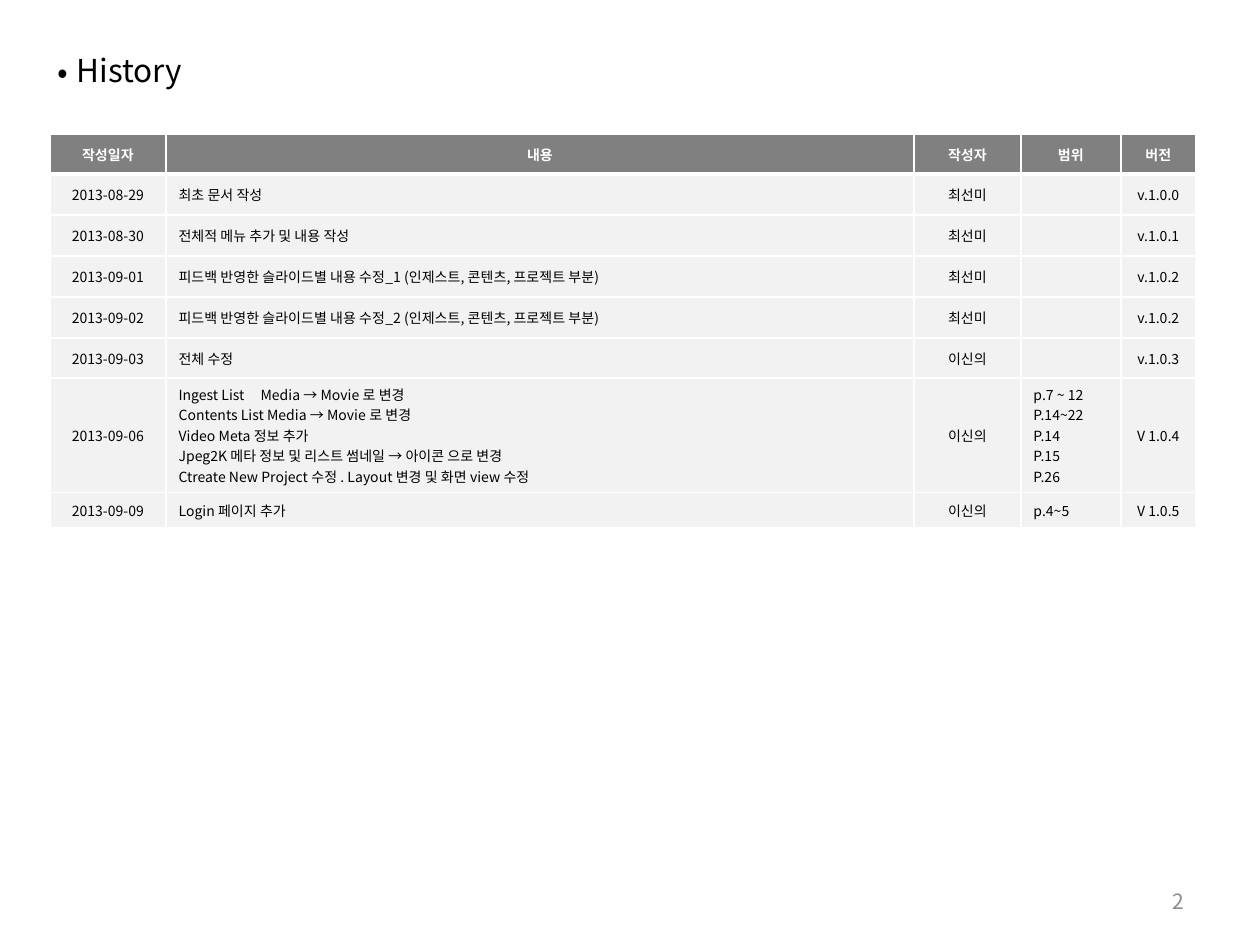
from lxml import etree
from pptx import Presentation
from pptx import util as u
from pptx.dml.color import RGBColor
from pptx.enum import text
from pptx.oxml.ns import qn

SCALE = 914400 // 126  # EMU in one px
FONT = "Noto Sans CJK KR"
WHITE, BLACK, GREY, PALE, MUTED = "FFFFFF", "000000", "808080", "F2F2F2", "8C8C8C"
LEFT, CENTER, RIGHT = text.PP_ALIGN.LEFT, text.PP_ALIGN.CENTER, text.PP_ALIGN.RIGHT

COLUMN_WIDTHS = [116, 748, 107, 100, 75]
ROW_HEIGHTS = [40, 41, 41, 41, 41, 40, 113, 35]
TAB_STOP = 82
HEADER = ["작성일자", "내용", "작성자", "범위", "버전"]
HISTORY = [
    ["2013-08-29", "최초 문서 작성", "최선미", "", "v.1.0.0"],
    ["2013-08-30", "전체적 메뉴 추가 및 내용 작성", "최선미", "", "v.1.0.1"],
    ["2013-09-01", "피드백 반영한 슬라이드별 내용 수정_1 (인제스트, 콘텐츠, 프로젝트 부분)",
     "최선미", "", "v.1.0.2"],
    ["2013-09-02", "피드백 반영한 슬라이드별 내용 수정_2 (인제스트, 콘텐츠, 프로젝트 부분)",
     "최선미", "", "v.1.0.2"],
    ["2013-09-03", "전체 수정", "이신의", "", "v.1.0.3"],
    ["2013-09-06",
     "Ingest List\tMedia → Movie 로 변경\n"
     "Contents List Media → Movie 로 변경\n"
     "Video Meta 정보 추가\n"
     "Jpeg2K 메타 정보 및 리스트 썸네일 → 아이콘 으로 변경\n"
     "Ctreate New Project 수정 . Layout 변경 및 화면 view 수정",
     "이신의", "p.7 ~ 12\nP.14~22\nP.14\nP.15\nP.26", "V 1.0.4"],
    ["2013-09-09", "Login 페이지 추가", "이신의", "p.4~5", "V 1.0.5"],
]


def px(length):
    return u.Emu(length * SCALE)


def color(value):
    return RGBColor.from_string(value)


def add_xml(parent, tag, **attributes):
    return etree.SubElement(parent, qn(tag), attributes)


def format_text(frame, size, fill, align=LEFT, bold=False):
    for paragraph in frame.paragraphs:
        paragraph.alignment = align
        for run in paragraph.runs:
            run.font.size = u.Pt(size)
            run.font.bold = bold
            run.font.name = FONT
            run.font.color.rgb = color(fill)
            add_xml(run.font._element, "a:ea", typeface=FONT)
        if not paragraph.runs:  # keeps an empty cell from growing
            add_xml(paragraph._p, "a:endParaRPr", sz=str(size * 100))
        if "\t" in paragraph.text:
            tabs = add_xml(paragraph._p.get_or_add_pPr(), "a:tabLst")
            add_xml(tabs, "a:tab", pos=str(px(TAB_STOP)), algn="l")


def place_title(slide, left, top, width, height):
    title = slide.shapes.title
    title.left, title.top, title.width, title.height = map(px, (left, top, width, height))
    frame = title.text_frame
    frame.text = "History"
    frame.vertical_anchor = text.MSO_ANCHOR.MIDDLE
    frame.auto_size = text.MSO_AUTO_SIZE.NONE
    format_text(frame, 18, BLACK)
    # Bullet with a hanging indent
    properties = frame.paragraphs[0]._p.get_or_add_pPr()
    properties.set("marL", str(px(19)))
    properties.set("indent", str(-px(19)))
    add_xml(properties, "a:buFont", typeface=FONT)
    add_xml(properties, "a:buChar", char="•")


def set_borders(cell, bottom_width):
    properties = cell._tc.get_or_add_tcPr()
    for index, (side, width) in enumerate(
            [("L", 1), ("R", 1), ("T", 1), ("B", bottom_width)]):
        line = etree.Element(qn(f"a:ln{side}"), w=str(u.Pt(width)))
        add_xml(add_xml(line, "a:solidFill"), "a:srgbClr", val=WHITE)
        properties.insert(index, line)


def place_history(slide, left, top):
    rows = [HEADER] + HISTORY
    table = slide.shapes.add_table(
        len(rows), len(HEADER), px(left), px(top),
        px(sum(COLUMN_WIDTHS)), px(sum(ROW_HEIGHTS))).table
    for column, width in zip(table.columns, COLUMN_WIDTHS):
        column.width = px(width)
    for row, height in zip(table.rows, ROW_HEIGHTS):
        row.height = px(height)
    table.horz_banding = False

    for row_index, values in enumerate(rows):
        is_header = row_index == 0
        for column_index, value in enumerate(values):
            cell = table.cell(row_index, column_index)
            cell.text_frame.text = value
            cell.vertical_anchor = text.MSO_ANCHOR.MIDDLE
            cell.fill.solid()
            cell.fill.fore_color.rgb = color(GREY if is_header else PALE)
            # Contents and page ranges read from the left
            align = LEFT if column_index in (1, 3) and not is_header else CENTER
            format_text(cell.text_frame, 8, WHITE if is_header else BLACK, align, is_header)
            set_borders(cell, 3 if is_header else 1)


def place_page_number(slide, left, top, width, height):
    frame = slide.shapes.add_textbox(*map(px, (left, top, width, height))).text_frame
    frame.word_wrap = True
    frame.text = "2"
    frame.vertical_anchor = text.MSO_ANCHOR.MIDDLE
    format_text(frame, 12, MUTED, RIGHT)


def main():
    presentation = Presentation()
    presentation.slide_width, presentation.slide_height = px(1260), px(945)
    slide = presentation.slides.add_slide(presentation.slide_layouts[5])
    place_title(slide, 45, 45, 389, 49)
    place_history(slide, 50, 134)
    place_page_number(slide, 903, 876, 294, 50)
    presentation.save("out.pptx")


if __name__ == "__main__":
    main()
